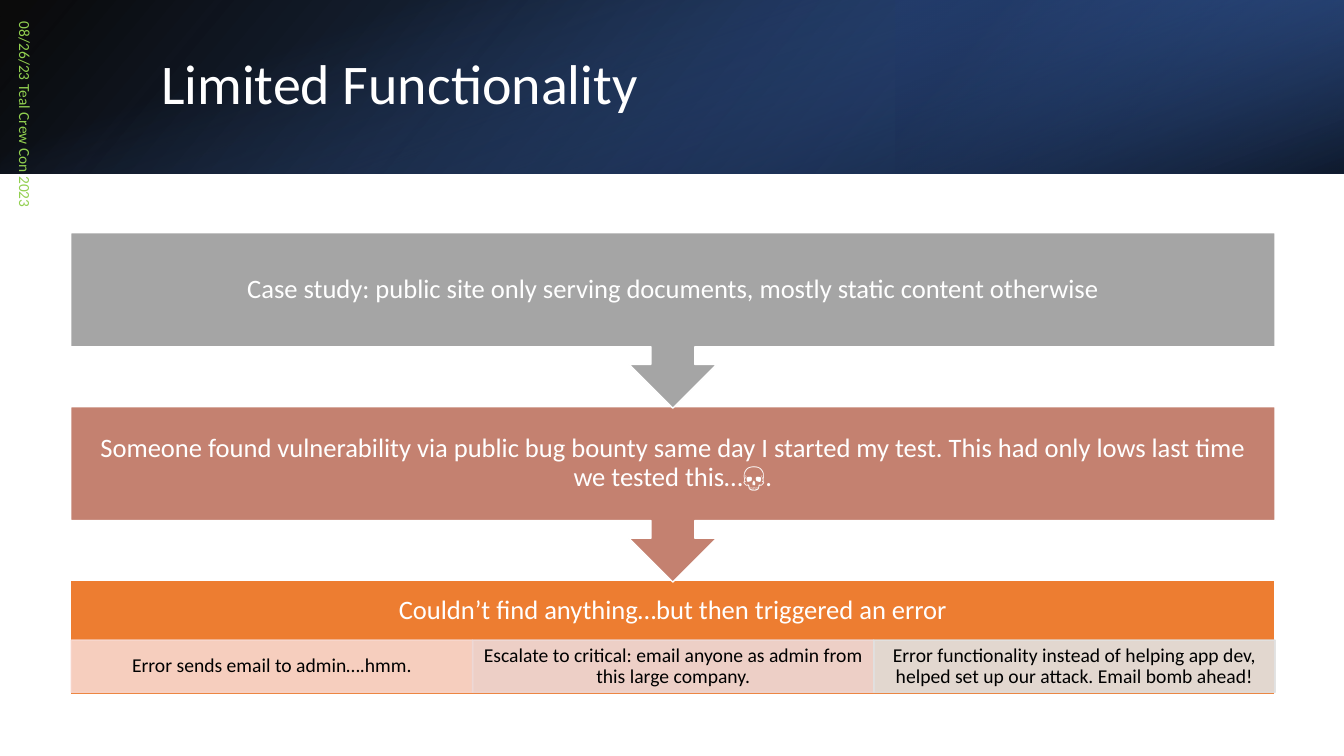
from lxml import etree
from pptx import Presentation
from pptx import util as u
from pptx.dml.color import RGBColor
from pptx.enum import shapes, text
from pptx.oxml.ns import qn

Pt = u.Pt
BLACK = RGBColor(0x00, 0x00, 0x00)
WHITE = RGBColor(0xFF, 0xFF, 0xFF)
BLUE = RGBColor(0x44, 0x72, 0xC4)
MID_BLUE = RGBColor(0x2F, 0x55, 0x97)
NAVY = RGBColor(0x20, 0x38, 0x64)
GREEN = RGBColor(0x92, 0xD0, 0x50)
GRAY = RGBColor(0xA5, 0xA5, 0xA5)
CLAY = RGBColor(0xC4, 0x81, 0x70)
ORANGE = RGBColor(0xED, 0x7D, 0x31)
PEACH = RGBColor(0xF8, 0xD7, 0xCE)
ROSE = RGBColor(0xED, 0xD9, 0xD7)
PALE_GRAY = RGBColor(0xE1, 0xE1, 0xE1)


def write(shape, words, size, color, align, inset_x=7.2, inset_top=3.6, inset_bottom=3.6, spacing=0.9):
    frame = shape.text_frame
    frame.text = words
    frame.word_wrap = True
    frame.vertical_anchor = text.MSO_ANCHOR.MIDDLE
    frame.margin_left = frame.margin_right = Pt(inset_x)
    frame.margin_top, frame.margin_bottom = Pt(inset_top), Pt(inset_bottom)
    paragraph = frame.paragraphs[0]
    paragraph.alignment = align
    paragraph.line_spacing = spacing
    font = paragraph.runs[0].font
    font.name, font.size, font.color.rgb = "Calibri", Pt(size), color


def set_opacity(shape, percents):
    colors = shape._element.spPr.iter(qn("a:srgbClr"))
    for color, percent in zip(colors, percents):
        etree.SubElement(color, qn("a:alpha")).set("val", str(percent * 1000))


deck = Presentation()
deck.slide_width, deck.slide_height = Pt(960), Pt(540)
slide = deck.slides.add_slide(deck.slide_layouts[6])
add_shape = slide.shapes.add_shape
SHAPE = shapes.MSO_SHAPE
LEFT, CENTER = text.PP_ALIGN.LEFT, text.PP_ALIGN.CENTER

header_layers = [
    ((0, 0, 960, 124), 0, True, 140, [(0, BLACK, 96), (1, MID_BLUE, 100)]),
    ((640, 0, 320, 124), 180, True, 320, [(0.19, NAVY, 68), (1, BLUE, 79)]),
    ((418, -418, 124, 960), 90, False, 340, [(0.23, BLUE, 0), (0.99, BLACK, 74)]),
]
for bounds, rotation, flipped, angle, stops in header_layers:
    layer = add_shape(SHAPE.RECTANGLE, *map(Pt, bounds))
    layer.shadow.inherit = False
    layer.rotation = rotation
    if flipped:
        layer._element.spPr.find(qn("a:xfrm")).set("flipH", "1")
    layer.line.fill.background()
    layer.fill.gradient()
    layer.fill.gradient_angle = 360 - angle
    for stop, (position, color, opacity) in zip(layer.fill.gradient_stops, stops):
        stop.position, stop.color.rgb = position, color
    set_opacity(layer, [opacity for position, color, opacity in stops])

title = slide.shapes.add_textbox(Pt(108), Pt(27.4), Pt(790.6), Pt(69.1))
write(title, "Limited Functionality", 40, WHITE, LEFT)

event_date = slide.shapes.add_textbox(Pt(-144), Pt(156.2), Pt(324), Pt(28.8))
event_date.rotation = 90
write(event_date, "08/26/23 Teal Crew Con 2023", 11, GREEN, LEFT, spacing=1)

STEP_LEFT, STEP_WIDTH, FIRST_TOP, STEP_PITCH = 50.4, 860.4, 166.3, 124.2
CALLOUT_HEIGHT, RESULT_HEIGHT = 125.3, 81.4
DETAIL_TOP, DETAIL_WIDTH, DETAIL_HEIGHT = 457.2, 286.6, 37.4

steps = [
    (2, SHAPE.RECTANGLE, RESULT_HEIGHT, ORANGE, 48.2,
     "Couldn’t find anything…but then triggered an error"),
    (1, SHAPE.DOWN_ARROW_CALLOUT, CALLOUT_HEIGHT, CLAY, 10.8,
     "Someone found vulnerability via public bug bounty same day I started my test. "
     "This had only lows last time we tested this…💀."),
    (0, SHAPE.DOWN_ARROW_CALLOUT, CALLOUT_HEIGHT, GRAY, 10.8,
     "Case study: public site only serving documents, mostly static content otherwise"),
]
for order, outline, height, color, inset_bottom, words in steps:
    step = add_shape(outline, Pt(STEP_LEFT), Pt(FIRST_TOP + order * STEP_PITCH), Pt(STEP_WIDTH), Pt(height))
    step.shadow.inherit = False
    step.fill.solid()
    step.fill.fore_color.rgb = color
    step.line.color.rgb = WHITE
    step.line.width = Pt(1)
    write(step, words, 19, WHITE, CENTER, 10.8, 10.8, inset_bottom)

details = [
    (PEACH, "Error sends email to admin….hmm."),
    (ROSE, "Escalate to critical: email anyone as admin from this large company."),
    (PALE_GRAY, "Error functionality instead of helping app dev, helped set up our attack. Email bomb ahead!"),
]
for column, (color, words) in enumerate(details):
    detail = add_shape(SHAPE.RECTANGLE, Pt(STEP_LEFT + 0.6 + column * DETAIL_WIDTH), Pt(DETAIL_TOP),
                       Pt(DETAIL_WIDTH), Pt(DETAIL_HEIGHT))
    detail.shadow.inherit = False
    detail.fill.solid()
    detail.fill.fore_color.rgb = color
    detail.line.color.rgb = color
    detail.line.width = Pt(1)
    set_opacity(detail, [90, 90])
    write(detail, words, 14, BLACK, CENTER, 7.9, 1.4, 1.4)

deck.save("out.pptx")
